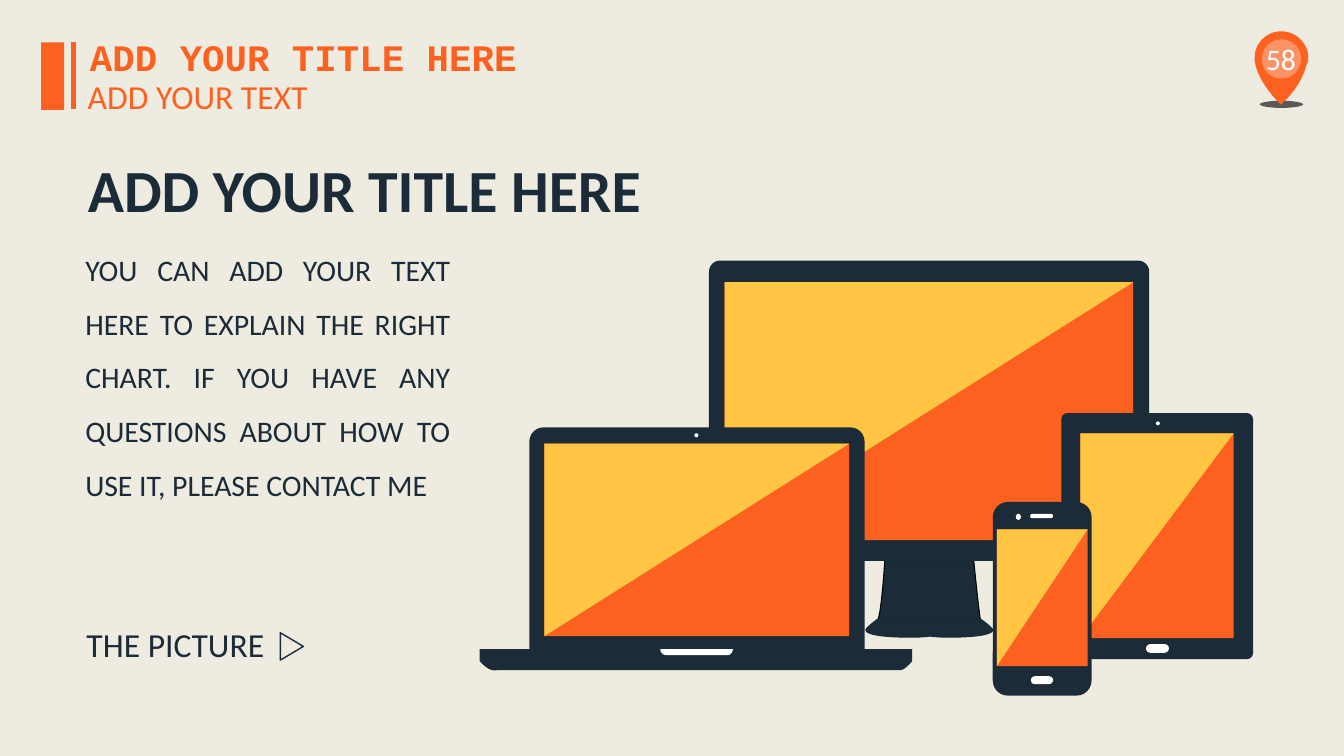
"""Build a slide that shows four screens beside a short text."""
from dataclasses import dataclass

from lxml import etree
from pptx import Presentation
from pptx.dml.color import RGBColor
from pptx.enum.shapes import MSO_CONNECTOR, MSO_SHAPE
from pptx.enum.text import MSO_ANCHOR, MSO_AUTO_SIZE, PP_ALIGN
from pptx.oxml.ns import qn
from pptx.util import Cm, Pt

RECT, ROUND = MSO_SHAPE.RECTANGLE, MSO_SHAPE.ROUNDED_RECTANGLE
OVAL, PLAY = MSO_SHAPE.OVAL, MSO_SHAPE.ISOSCELES_TRIANGLE
STRAIGHT = MSO_CONNECTOR.STRAIGHT
LEFT, MID, JUST = PP_ALIGN.LEFT, PP_ALIGN.CENTER, PP_ALIGN.JUSTIFY
TOP, MIDDLE = MSO_ANCHOR.TOP, MSO_ANCHOR.MIDDLE
GROW = MSO_AUTO_SIZE.SHAPE_TO_FIT_TEXT
ORANGE, YELLOW, NAVY, EDGE = "FC611F", "FFC543", "1C2B38", "152C34"
WHITE, BLACK, GREY, CREAM = "FFFFFF", "000000", "595959", "EEECE1"
STEPS = 12

Seg = tuple[float, ...]


@dataclass
class Box:
    """Place and size in centimetres."""
    left: float
    top: float
    width: float
    height: float

    def lengths(self) -> list[Cm]:
        """Give the four lengths in order."""
        return [Cm(v) for v in (self.left, self.top, self.width, self.height)]


@dataclass
class Part:
    """A preset shape with a fill, a line and a corner radius."""
    kind: int
    box: Box
    fill: str | None
    line: str | None = None
    weight: float = 0.75
    radius: float = 0
    turn: float = 0


@dataclass
class Path:
    """A closed outline; two numbers make a line, six a curve."""
    segs: list[Seg]
    fill: str
    line: str | None = None


@dataclass
class Device:
    """A body, a two-tone screen and small details on top."""
    body: Part
    screen: Box
    bits: list[Part | Path]


@dataclass
class Label:
    """A text with its place and format."""
    text: str
    box: Box
    size: float
    color: str = NAVY
    align: int = LEFT
    font: str = "Calibri"
    bold: bool = False
    wrap: bool = False
    anchor: int = TOP
    space: float = 1.0


def dot(left: float, top: float, width: float, height: float) -> Part:
    """Make a white camera dot."""
    return Part(OVAL, Box(left, top, width, height), WHITE)


def pill(left: float, top: float, width: float, height: float) -> Part:
    """Make a white button with round ends."""
    return Part(ROUND, Box(left, top, width, height), WHITE, radius=height / 2)


STAND = Path([(24.54, 14.12), (22.3, 14.12),
              (22.2, 15.6, 22.12, 15.62, 22.12, 15.62), (24.71, 15.62),
              (24.71, 15.62, 24.69, 15.6, 24.54, 14.12)], NAVY, BLACK)
BASE = Path([(24.71, 15.6), (22.12, 15.6),
             (22.1, 15.62, 21.82, 15.82, 21.82, 15.88),
             (21.84, 16.08, 23.16, 16.08, 23.44, 16.03),
             (23.72, 16.08, 24.99, 16.08, 25.02, 15.88),
             (25.02, 15.82, 24.74, 15.62, 24.71, 15.6)], NAVY, EDGE)
FOOT = Path([(12.09, 16.36), (22.99, 16.36), (22.99, 16.66),
             (22.86, 16.81, 22.76, 16.89, 22.68, 16.89), (12.52, 16.89),
             (12.47, 16.89, 12.34, 16.94, 12.09, 16.66)], NAVY)
NOTCH = Path([(16.64, 16.36), (18.47, 16.36),
              (18.47, 16.43, 18.41, 16.51, 18.34, 16.51), (16.79, 16.51),
              (16.71, 16.51, 16.64, 16.43, 16.64, 16.36)], WHITE)
PIN = Path([(32.97, 1.45), (32.97, 1.09, 32.66, 0.79, 32.28, 0.79),
            (31.92, 0.79, 31.62, 1.09, 31.62, 1.45), (31.62, 1.52),
            (31.67, 2.06, 32.28, 2.64, 32.28, 2.64),
            (32.72, 2.24, 32.87, 1.85, 32.92, 1.65),
            (32.94, 1.6, 32.97, 1.55, 32.97, 1.5)], ORANGE)
SHADE = Part(OVAL, Box(31.75, 2.54, 1.09, 0.18), GREY)
DISC = Part(OVAL, Box(31.8, 0.99, 0.99, 0.99), WHITE)
BAR = Part(RECT, Box(1.04, 1.07, 0.58, 1.7), ORANGE)
ARROW = Part(PLAY, Box(7.01, 16, 0.69, 0.58), None, NAVY, 1, turn=90)

DEVICES = [
    Device(Part(ROUND, Box(17.88, 6.58, 11.07, 7.54), NAVY, EDGE, radius=0.27),
           Box(18.26, 7.11, 10.3, 6.5), []),
    Device(Part(ROUND, Box(26.75, 10.41, 4.83, 6.2), NAVY, radius=0.15),
           Box(27.23, 10.92, 3.86, 5.16),
           [dot(29.13, 10.62, 0.1, 0.1), pill(28.88, 16.23, 0.58, 0.22)]),
    Device(Part(ROUND, Box(13.34, 10.77, 8.45, 5.92), NAVY, radius=0.36),
           Box(13.72, 11.18, 7.68, 4.85),
           [FOOT, NOTCH, dot(17.5, 10.92, 0.1, 0.1)]),
    Device(Part(ROUND, Box(25.02, 12.65, 2.49, 4.88), NAVY, radius=0.38),
           Box(25.12, 13.34, 2.29, 3.45),
           [pill(25.98, 17.04, 0.56, 0.2), pill(25.96, 12.95, 0.58, 0.11),
            dot(25.6, 12.95, 0.13, 0.15)]),
]
TITLE = Label("ADD YOUR TITLE HERE", Box(2.01, 0.74, 11.28, 1.4), 26.7,
              ORANGE, MID, "Courier New", True)
LABELS = [
    Label("58", Box(31.62, 0.97, 1.32, 1.02), 21.3, WHITE, MID, anchor=MIDDLE),
    Label("YOU CAN ADD YOUR TEXT HERE TO EXPLAIN THE RIGHT CHART. IF YOU HAVE "
          "ANY QUESTIONS ABOUT HOW TO USE IT, PLEASE CONTACT ME",
          Box(1.9, 5.77, 9.7, 7.09), 21.3, align=JUST, wrap=True, space=1.5),
    Label("ADD YOUR TITLE HERE", Box(1.9, 3.73, 14.58, 2.08), 42.7,
          align=MID, bold=True),
    Label("THE PICTURE", Box(1.93, 15.6, 5.03, 1.27), 24),
    Label("ADD YOUR TEXT", Box(1.96, 1.78, 6.12, 1.27), 24, ORANGE),
]


def paint(fmt, color: str | None) -> None:
    """Fill with a hex colour, or with nothing."""
    if color is None:
        fmt.background()
    else:
        fmt.solid()
        fmt.fore_color.rgb = RGBColor.from_string(color)


def dress(shape, item: Part | Path, weight: float = 0.75) -> None:
    """Set fill and line and drop the shadow."""
    shape.shadow.inherit = False
    paint(shape.fill, item.fill)
    paint(shape.line.fill, item.line)
    if item.line:
        shape.line.width = Pt(weight)


def bend(start: Seg, seg: Seg) -> list[Seg]:
    """Give points along a cubic curve."""
    pts = [start, seg[:2], seg[2:4], seg[4:]]
    ts = [n / STEPS for n in range(1, STEPS + 1)]
    return [tuple(sum(k * p[axis] for k, p in zip(
        ((1 - t) ** 3, 3 * t * (1 - t) ** 2, 3 * t * t * (1 - t), t ** 3), pts))
        for axis in (0, 1)) for t in ts]


def draw(shapes, item: Part | Path):
    """Draw one preset shape or outline."""
    if isinstance(item, Part):
        shape = shapes.add_shape(item.kind, *item.box.lengths())
        shape.rotation = item.turn
        if item.kind == ROUND:
            side = min(item.box.width, item.box.height)
            shape.adjustments[0] = item.radius / side
        dress(shape, item, item.weight)
        return shape
    pts = [item.segs[0]]
    for seg in item.segs[1:]:
        pts += [seg] if len(seg) == 2 else bend(pts[-1], seg)
    spots = [(Cm(x), Cm(y)) for x, y in pts]
    maker = shapes.build_freeform(*spots[0])
    maker.add_line_segments(spots[1:], close=True)
    shape = maker.convert_to_shape()
    dress(shape, item)
    return shape


def show(shapes, unit: Device) -> None:
    """Draw a device with its split screen."""
    box = unit.screen
    half = [(box.left, box.top), (box.left + box.width, box.top),
            (box.left, box.top + box.height)]
    for item in (unit.body, Part(RECT, box, ORANGE), Path(half, YELLOW), *unit.bits):
        draw(shapes, item)


def write(shape, label: Label) -> None:
    """Place a text shape and format its text."""
    shape.left, shape.top, shape.width, shape.height = label.box.lengths()
    frame = shape.text_frame
    frame.text = label.text
    para = frame.paragraphs[0]
    font = para.runs[0].font
    looks = [
        (frame, {"word_wrap": label.wrap, "auto_size": GROW,
                 "vertical_anchor": label.anchor}),
        (para, {"alignment": label.align, "line_spacing": label.space}),
        (font, {"name": label.font, "size": Pt(label.size), "bold": label.bold}),
    ]
    for target, values in looks:
        for key, value in values.items():
            setattr(target, key, value)
    paint(font.fill, label.color)


def main() -> None:
    """Build and save the slide."""
    deck = Presentation()
    deck.slide_width, deck.slide_height = Cm(33.87), Cm(19.05)
    slide = deck.slides.add_slide(deck.slide_layouts[5])
    shapes = slide.shapes
    paint(slide.background.fill, CREAM)
    write(shapes.title, TITLE)
    for item in (SHADE, PIN):
        draw(shapes, item)
    disc = draw(shapes, DISC)
    tint = next(disc._element.spPr.iter(qn("a:srgbClr")))
    etree.SubElement(tint, qn("a:alpha"), val="32000")
    draw(shapes, STAND)
    for unit in DEVICES:
        show(shapes, unit)
    for item in (BASE, ARROW, BAR):
        draw(shapes, item)
    rule = shapes.add_connector(STRAIGHT, Cm(1.85), Cm(1.07), Cm(1.85), Cm(2.74))
    paint(rule.line.fill, ORANGE)
    rule.line.width = Pt(3)
    etree.SubElement(rule._element.spPr, qn("a:effectLst"))
    for label in LABELS:
        write(shapes.add_textbox(*label.box.lengths()), label)
    deck.save("out.pptx")


if __name__ == "__main__":
    main()
